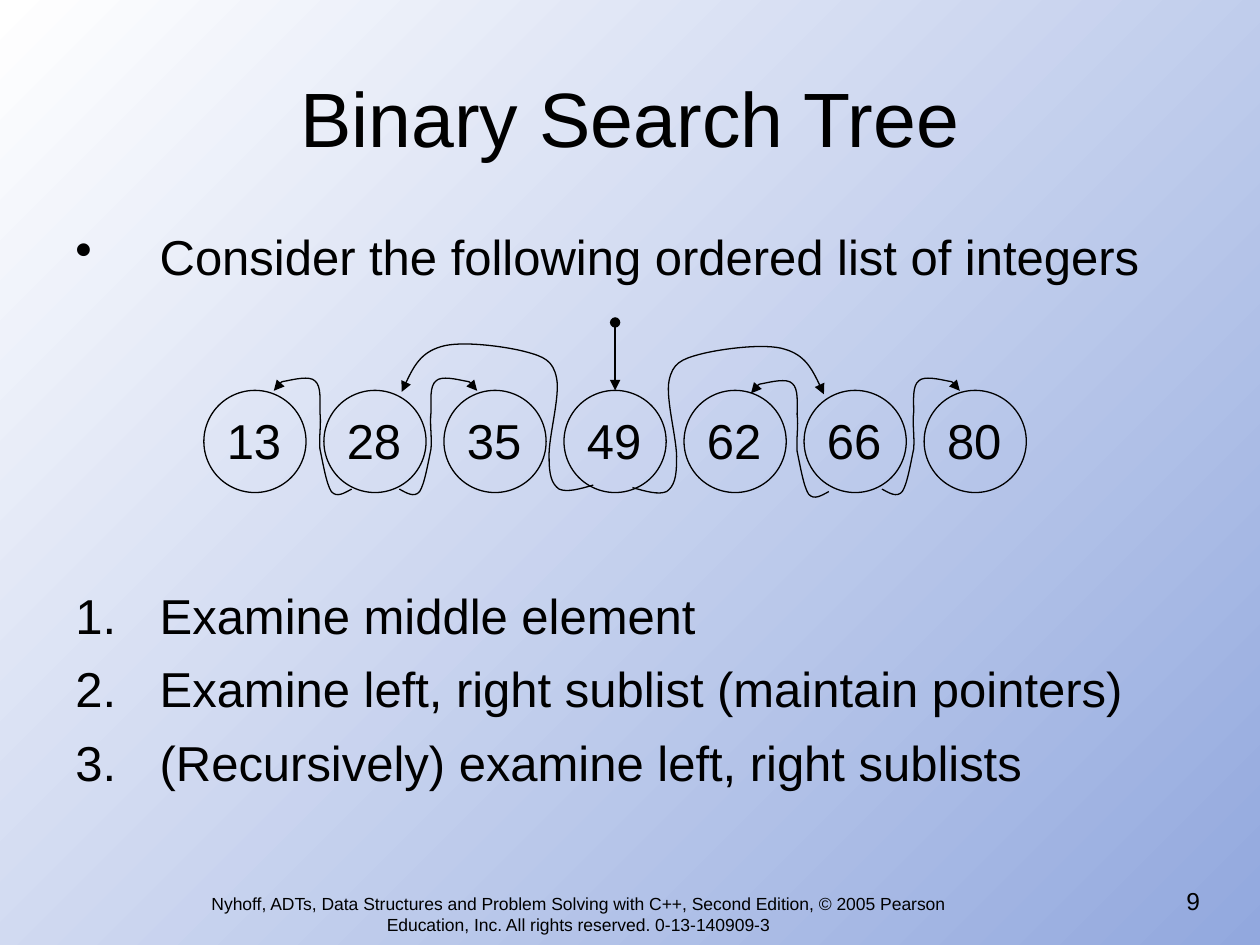
from dataclasses import dataclass

from lxml import etree
from pptx import Presentation
from pptx.dml.color import RGBColor
from pptx.enum.shapes import MSO_CONNECTOR, MSO_SHAPE
from pptx.enum.text import MSO_ANCHOR, PP_ALIGN
from pptx.oxml.ns import qn
from pptx.util import Cm, Pt

BLACK = RGBColor(0x00, 0x00, 0x00)
WHITE = RGBColor(0xFF, 0xFF, 0xFF)
BLUE = RGBColor(0x92, 0xA8, 0xDE)
LEFT, CENTER, RIGHT = PP_ALIGN.LEFT, PP_ALIGN.CENTER, PP_ALIGN.RIGHT
TOP, MIDDLE = MSO_ANCHOR.TOP, MSO_ANCHOR.MIDDLE
OVAL, STRAIGHT = MSO_SHAPE.OVAL, MSO_CONNECTOR.STRAIGHT
FONT = "Arial"
LINE_WIDTH = Pt(0.75)
INDENT = Cm(1.7)

VALUES = (13, 28, 35, 49, 62, 66, 80)
PITCH = 2.42
NODE_LEFT, NODE_TOP, NODE_SIZE = 4.11, 7.87, 2.06
LABEL_LEFT, LABEL_TOP, LABEL_HEIGHT = 3.91, 8.15, 1.6

SMALL_CURVE = (
    (0.15, 0.08), (0.3, 0.18), (0.41, 0.05),
    (0.51, -0.1), (0.58, -0.53), (0.64, -0.81),
    (0.66, -1.07), (0.61, -1.32), (0.64, -1.55),
    (0.64, -1.78), (0.61, -2.08), (0.74, -2.18),
    (0.84, -2.29), (1.17, -2.21), (1.32, -2.18),
    (1.45, -2.16), (1.52, -2.06), (1.57, -1.98),
)
LARGE_CURVE = (
    (0.28, 0.08), (0.53, 0.15), (0.69, 0.08),
    (0.84, -0.03), (0.89, -0.2), (0.89, -0.56),
    (0.91, -0.94), (0.66, -1.8), (0.74, -2.16),
    (0.81, -2.51), (0.99, -2.59), (1.37, -2.69),
    (1.75, -2.79), (2.67, -2.92), (3.07, -2.79),
    (3.48, -2.67), (3.68, -2.29), (3.86, -1.88),
)


@dataclass(frozen=True)
class Item:
    text: str
    bullet: str = ""
    value: str = ""
    before: float = 0


@dataclass(frozen=True)
class TextBlock:
    left: float
    top: float
    width: float
    height: float
    size: float
    items: tuple[Item, ...]
    align: PP_ALIGN = LEFT
    anchor: MSO_ANCHOR = TOP


@dataclass(frozen=True)
class Pointer:
    x: float
    y: float
    curve: tuple[tuple[float, float], ...]
    direction: int


BLOCKS = (
    TextBlock(1.27, 0.76, 22.86, 3.18, 44, (Item("Binary Search Tree"),), CENTER, MIDDLE),
    TextBlock(1.27, 4.45, 24.13, 13.18, 28, (
        Item("Consider the following ordered list of integers", "buChar", "•"),
        Item("Examine middle element", "buAutoNum", "arabicPeriod", 171),
        Item("Examine left, right sublist (maintain pointers)", "buAutoNum", "arabicPeriod", 8.4),
        Item("(Recursively) examine left, right sublists", "buAutoNum", "arabicPeriod", 8.4),
    )),
    TextBlock(3.91, 17.88, 15.49, 1.17, 10, (
        Item("Nyhoff, ADTs, Data Structures and Problem Solving with C++, Second Edition, "
             "© 2005 Pearson Education, Inc. All rights reserved. 0-13-140909-3"),
    ), CENTER),
    TextBlock(18.52, 17.73, 5.92, 1.32, 14, (Item("9"),), RIGHT),
)
POINTERS = (
    Pointer(11.96, 9.78, LARGE_CURVE, -1),
    Pointer(12.75, 9.83, LARGE_CURVE, 1),
    Pointer(8.05, 9.86, SMALL_CURVE, 1),
    Pointer(17.78, 9.86, SMALL_CURVE, 1),
    Pointer(7.09, 9.86, SMALL_CURVE, -1),
    Pointer(16.71, 9.91, SMALL_CURVE, -1),
)


def add_bullet(para, item: Item) -> None:
    properties = para._p.get_or_add_pPr()
    properties.set("marL", str(INDENT))
    properties.set("indent", str(-INDENT))
    color = etree.SubElement(properties, qn("a:buClr"))
    etree.SubElement(color, qn("a:srgbClr"), val=str(BLACK))
    attribute = "char" if item.bullet == "buChar" else "type"
    etree.SubElement(properties, qn(f"a:{item.bullet}"), {attribute: item.value})


def draw_text(slide, block: TextBlock) -> None:
    box = slide.shapes.add_textbox(Cm(block.left), Cm(block.top), Cm(block.width), Cm(block.height))
    frame = box.text_frame
    frame.word_wrap = True
    frame.vertical_anchor = block.anchor
    for index, item in enumerate(block.items):
        para = frame.add_paragraph() if index else frame.paragraphs[0]
        para.alignment = block.align
        if item.bullet:
            add_bullet(para, item)
        if item.before:
            para.space_before = Pt(item.before)
        span = para.add_run()
        span.text = item.text
        span.font.name = FONT
        span.font.size = Pt(block.size)
        span.font.color.rgb = BLACK


def style_line(shape, head: str = "", tail: str = "") -> None:
    shape.line.color.rgb = BLACK
    shape.line.width = LINE_WIDTH
    outline = shape.line._get_or_add_ln()
    for tag, kind in (("a:headEnd", head), ("a:tailEnd", tail)):
        if kind:
            etree.SubElement(outline, qn(tag), type=kind)


def draw_node(slide, index: int) -> None:
    left = NODE_LEFT + index * PITCH
    node = slide.shapes.add_shape(OVAL, Cm(left), Cm(NODE_TOP), Cm(NODE_SIZE), Cm(NODE_SIZE))
    node.shadow.inherit = False
    node.fill.background()
    style_line(node)


def draw_pointer(slide, pointer: Pointer) -> None:
    builder = slide.shapes.build_freeform(Cm(pointer.x), Cm(pointer.y))
    points = [(Cm(pointer.x + pointer.direction * dx), Cm(pointer.y + dy)) for dx, dy in pointer.curve]
    builder.add_line_segments(points, close=False)
    shape = builder.convert_to_shape()
    shape.shadow.inherit = False
    shape.fill.background()
    style_line(shape, tail="triangle")
    segments = list(shape._element.iter(qn("a:lnTo")))
    for start in range(0, len(segments), 3):
        outline = segments[start].getparent()
        bezier = etree.SubElement(outline, qn("a:cubicBezTo"))
        for segment in segments[start:start + 3]:
            bezier.append(segment[0])
            outline.remove(segment)


def draw_root_arrow(slide) -> None:
    arrow = slide.shapes.add_connector(STRAIGHT, Cm(12.4), Cm(6.5), Cm(12.4), Cm(NODE_TOP))
    style_line(arrow, "oval", "triangle")
    etree.SubElement(arrow._element.spPr, qn("a:effectLst"))


def fill_background(slide) -> None:
    fill = slide.background.fill
    fill.gradient()
    fill.gradient_angle = 135
    for stop, color in zip(fill.gradient_stops, (BLUE, WHITE)):
        stop.color.rgb = color


def main() -> None:
    deck = Presentation()
    deck.slide_width, deck.slide_height = Cm(25.4), Cm(19.05)
    slide = deck.slides.add_slide(deck.slide_layouts[6])
    fill_background(slide)
    for block in BLOCKS:
        draw_text(slide, block)
    for index, value in enumerate(VALUES):
        draw_node(slide, index)
        draw_text(slide, TextBlock(LABEL_LEFT + index * PITCH, LABEL_TOP, PITCH, LABEL_HEIGHT,
                                   28, (Item(str(value)),), CENTER))
    draw_root_arrow(slide)
    for pointer in POINTERS:
        draw_pointer(slide, pointer)
    deck.save("out.pptx")


if __name__ == "__main__":
    main()
